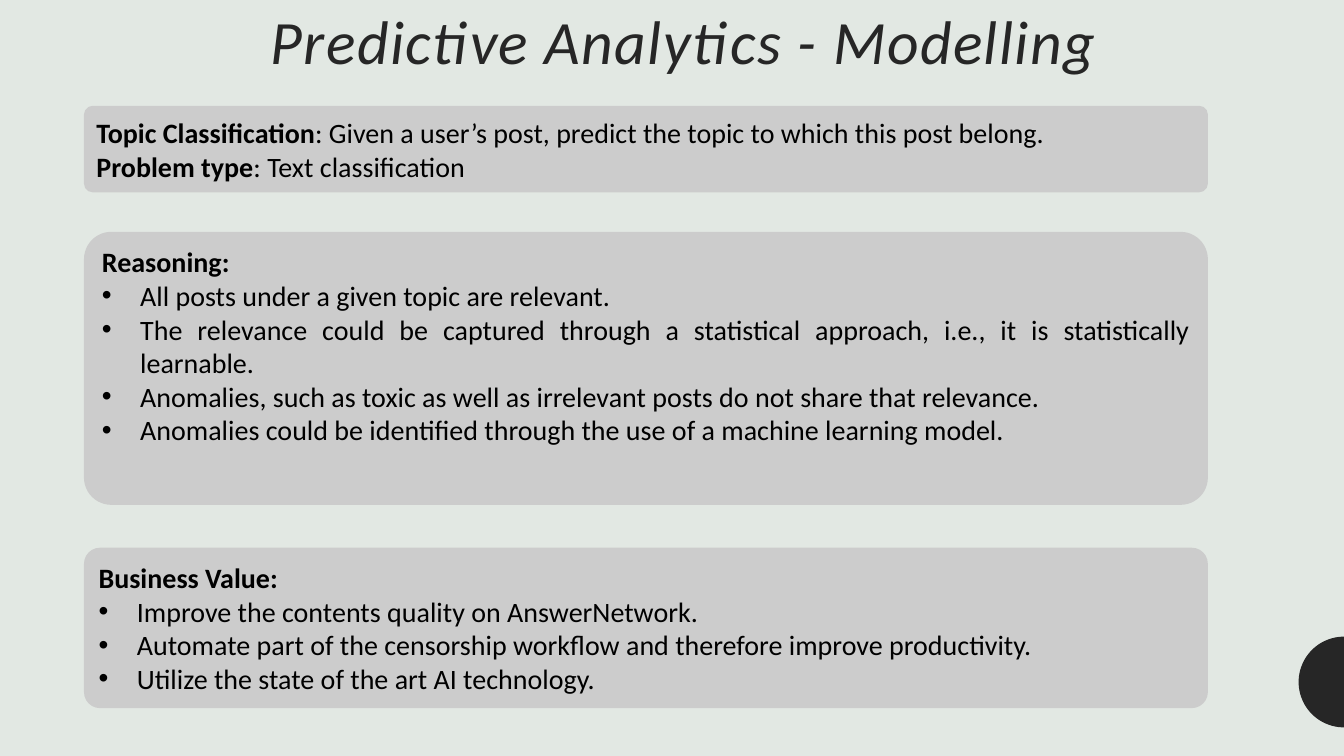
from dataclasses import dataclass
from math import cos, pi, sin

from lxml.etree import SubElement
from pptx import Presentation
from pptx.dml.color import RGBColor as RGB
from pptx.enum.shapes import MSO_SHAPE as Shape
from pptx.enum.text import MSO_ANCHOR as Anchor, PP_ALIGN as Align
from pptx.oxml.ns import qn
from pptx.util import Inches, Pt


@dataclass(frozen=True)
class Theme:
    font: str = "Calibri"
    background: RGB = RGB(0xE2, 0xE8, 0xE3)
    panel: RGB = RGB(0xCC, 0xCC, 0xCC)
    dark: RGB = RGB(0x26, 0x26, 0x26)
    text: RGB = RGB(0, 0, 0)
    title_size: int = 44
    body_size: int = 20
    title_spacing: int = 100
    line_spacing: float = 0.9
    corner: float = 0.1
    indent: float = 0.38


class Deck:
    COLUMNS, ROWS = 160, 90

    def __init__(self, theme):
        self.theme = theme
        self.prs = Presentation()
        self.prs.slide_width, self.prs.slide_height = Inches(13.333), Inches(7.5)
        self.s = self.prs.slides.add_slide(self.prs.slide_layouts[6])
        fill = self.s.background.fill
        fill.solid()
        fill.fore_color.rgb = theme.background

    def x(self, columns):
        return round(self.prs.slide_width * columns / self.COLUMNS)

    def y(self, rows):
        return round(self.prs.slide_height * rows / self.ROWS)

    def box(self, left, top, width, height):
        return self.x(left), self.y(top), self.x(width), self.y(height)

    def paint(self, sp, color):
        sp.shadow.inherit = False
        sp.fill.solid()
        sp.fill.fore_color.rgb = color
        sp.line.fill.background()

    def style(self, r, size, color, bold=False, italic=False):
        font = r.font
        font.name, font.size, font.color.rgb = self.theme.font, Pt(size), color
        font.bold, font.italic = bold, italic

    def half_disc(self, column, row, radius, steps=48):
        angles = [pi / 2 + pi * i / steps for i in range(steps + 1)]
        points = [(self.x(column + radius * cos(a)), self.y(row + radius * sin(a)))
                  for a in angles]
        builder = self.s.shapes.build_freeform(*points[0])
        builder.add_line_segments(points[1:], close=True)
        self.paint(builder.convert_to_shape(), self.theme.dark)

    def title(self, text, *box):
        tf = self.s.shapes.add_textbox(*self.box(*box)).text_frame
        tf.word_wrap = True
        tf.text = text
        p = tf.paragraphs[0]
        p.alignment, p.line_spacing = Align.CENTER, self.theme.line_spacing
        r = p.runs[0]
        self.style(r, self.theme.title_size, self.theme.dark, italic=True)
        r.font._element.set("spc", str(self.theme.title_spacing))

    def panel(self, top, height, lines, anchor=Anchor.MIDDLE):
        sp = self.s.shapes.add_shape(Shape.ROUNDED_RECTANGLE, *self.box(10, top, 133.8, height))
        sp.adjustments[0] = self.theme.corner
        self.paint(sp, self.theme.panel)
        tf = sp.text_frame
        tf.word_wrap, tf.vertical_anchor = True, anchor
        for i, (label, text) in enumerate(lines):
            p = tf.add_paragraph() if i else tf.paragraphs[0]
            p.alignment = Align.JUSTIFY
            for part, bold in ((label, True), (text, False)):
                if part:
                    r = p.add_run()
                    r.text = part
                    self.style(r, self.theme.body_size, self.theme.text, bold)
            if not label:
                self.bullet(p)

    def bullet(self, p):
        indent = Inches(self.theme.indent)
        pPr = p._p.get_or_add_pPr()
        pPr.set("marL", str(indent))
        pPr.set("indent", str(-indent))
        SubElement(pPr, qn("a:buFont")).set("typeface", "Arial")
        SubElement(pPr, qn("a:buChar")).set("char", "•")

    def save(self):
        self.prs.save("out.pptx")


def section(heading, *points):
    return [(heading, "")] + [("", point) for point in points]


def main():
    deck = Deck(Theme())
    deck.half_disc(160, 81.2, 5.4)
    deck.title("Predictive Analytics - Modelling", 11.4, 0.7, 140, 12.2)
    deck.panel(12.6, 10.3, [
        ("Topic Classification",
         ": Given a user’s post, predict the topic to which this post belong."),
        ("Problem type", ": Text classification"),
    ])
    deck.panel(27.6, 32.5, section(
        "Reasoning:",
        "All posts under a given topic are relevant.",
        "The relevance could be captured through a statistical approach, "
        "i.e., it is statistically learnable.",
        "Anomalies, such as toxic as well as irrelevant posts do not share that relevance.",
        "Anomalies could be identified through the use of a machine learning model.",
    ), Anchor.TOP)
    deck.panel(65.2, 19.1, section(
        "Business Value:",
        "Improve the contents quality on AnswerNetwork.",
        "Automate part of the censorship workflow and therefore improve productivity.",
        "Utilize the state of the art AI technology.",
    ))
    deck.save()


if __name__ == "__main__":
    main()
